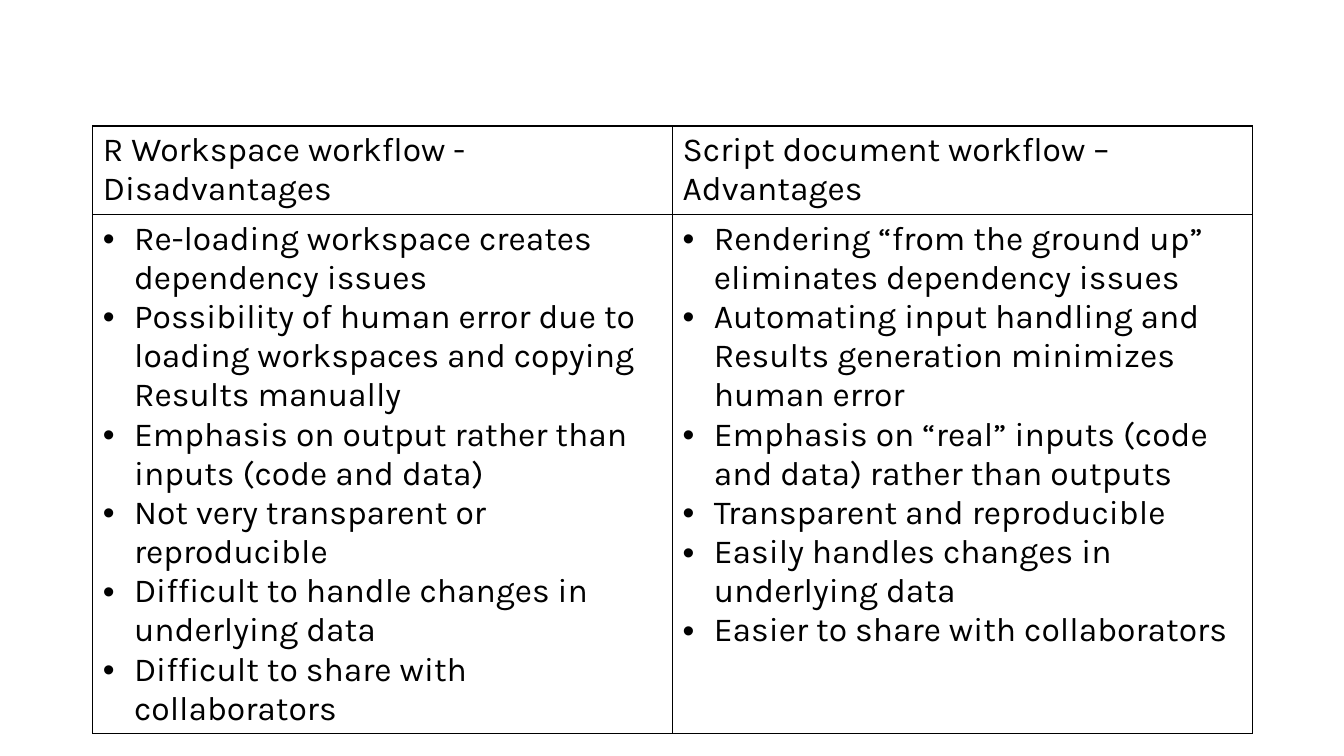
from lxml.etree import SubElement
from pptx import Presentation
from pptx.dml.color import RGBColor
from pptx.oxml.ns import qn
from pptx.util import Inches, Pt

BLACK = RGBColor(0x00, 0x00, 0x00)
TEXT_FORMAT = {"name": "Karla", "size": Pt(24), "bold": False}
BULLET_INDENT = Inches(0.31)
ROW_HEIGHTS = (0.87, 5.1)

WORKFLOWS = {
    "R Workspace workflow - Disadvantages": [
        "Re-loading workspace creates dependency issues",
        "Possibility of human error due to loading workspaces and copying Results manually",
        "Emphasis on output rather than inputs (code and data)",
        "Not very transparent or reproducible",
        "Difficult to handle changes in underlying data",
        "Difficult to share with collaborators",
    ],
    "Script document workflow – Advantages": [
        "Rendering “from the ground up” eliminates dependency issues",
        "Automating input handling and Results generation minimizes human error",
        "Emphasis on “real” inputs (code and data) rather than outputs",
        "Transparent and reproducible",
        "Easily handles changes in underlying data",
        "Easier to share with collaborators",
    ],
}


def add_bullet(paragraph):
    properties = paragraph._p.get_or_add_pPr()
    properties.set("marL", str(BULLET_INDENT))
    properties.set("indent", str(-BULLET_INDENT))
    SubElement(properties, qn("a:buFont"), typeface="Arial")
    SubElement(properties, qn("a:buChar"), char="•")


def style_cell(cell):
    # Thin border on every side, no fill
    properties = cell._tc.get_or_add_tcPr()
    for side in ("lnL", "lnR", "lnT", "lnB"):
        line = SubElement(properties, qn(f"a:{side}"), w=str(Pt(1)))
        fill = SubElement(line, qn("a:solidFill"))
        SubElement(fill, qn("a:srgbClr"), val=str(BLACK))
    cell.fill.background()


def fill_cell(cell, lines, bulleted=False):
    style_cell(cell)
    cell.text = "\n".join(lines)
    for paragraph in cell.text_frame.paragraphs:
        if bulleted:
            add_bullet(paragraph)
        font = paragraph.runs[0].font
        for name, value in TEXT_FORMAT.items():
            setattr(font, name, value)
        font.color.rgb = BLACK


def add_comparison_table(slide, left, top, width):
    frame = slide.shapes.add_table(
        len(ROW_HEIGHTS), len(WORKFLOWS), Inches(left), Inches(top),
        Inches(width), Inches(sum(ROW_HEIGHTS)))
    table = frame.table
    table.first_row = table.horz_banding = False
    for row, height in zip(table.rows, ROW_HEIGHTS):
        row.height = Inches(height)

    # One column per workflow: heading above its points
    for column, (heading, points) in enumerate(WORKFLOWS.items()):
        table.columns[column].width = Inches(width / len(WORKFLOWS))
        fill_cell(table.cell(0, column), [heading])
        fill_cell(table.cell(1, column), points, bulleted=True)


def main():
    presentation = Presentation()
    presentation.slide_width = Inches(13.33)
    presentation.slide_height = Inches(7.5)
    slide = presentation.slides.add_slide(presentation.slide_layouts[6])
    add_comparison_table(slide, left=0.92, top=1.25, width=11.5)
    presentation.save("out.pptx")


if __name__ == "__main__":
    main()
